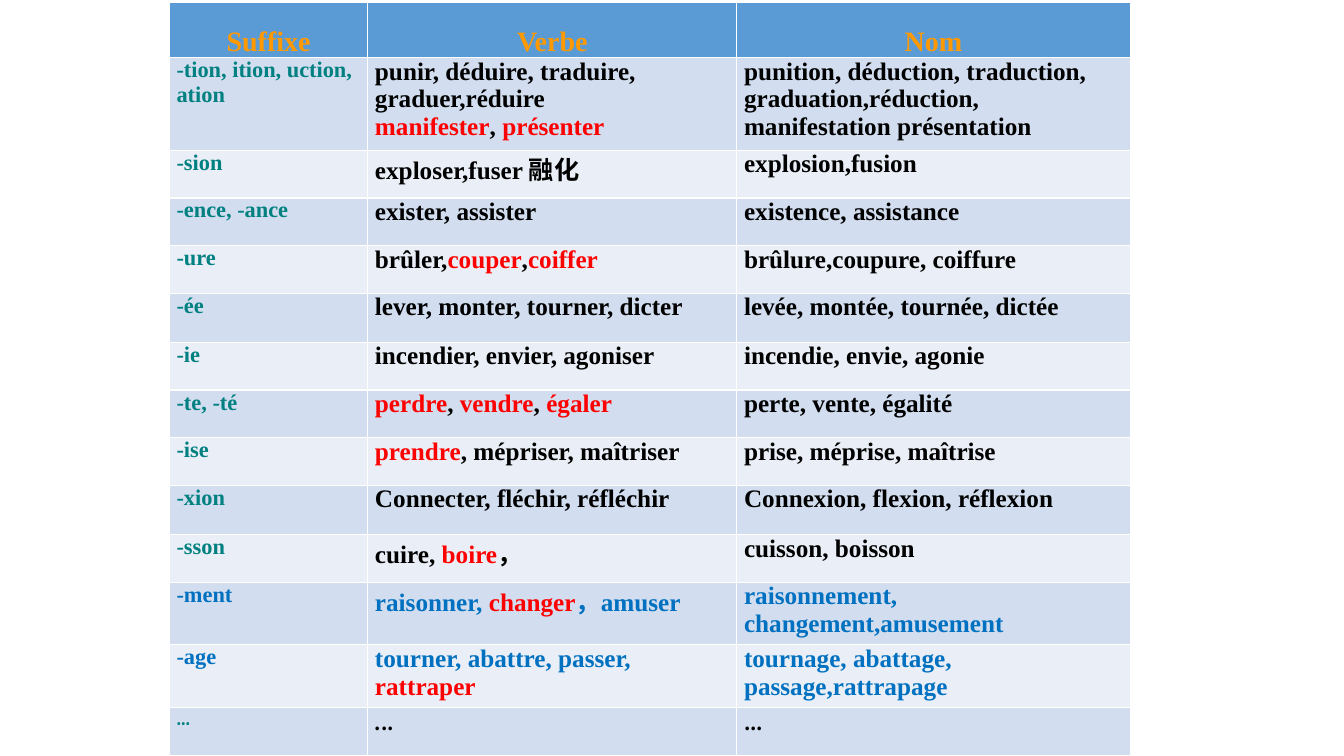
from lxml import etree
from pptx import Presentation
from pptx.dml.color import RGBColor
from pptx.enum import text
from pptx.oxml import ns
from pptx.util import Cm, Pt

THEME = {
    "font": "Times New Roman", "cjk": "Noto Sans CJK SC", "dots": "Cambria",
    "header_fill": "5B9BD5", "bands": ("D2DEEF", "EAEFF7"),
    "header": "FF9900", "suffix": "008080", "word": "000000",
    "irregular": "FF0000", "extra": "0070C0",
    "header_size": 20, "suffix_size": 16, "word_size": 18, "dots_size": 14,
}

# Words between asterisks are highlighted as irregular
HEADERS = ("Suffixe", "Verbe", "Nom")
ROWS = [
    ("-tion, ition, uction, ation",
     "punir, déduire, traduire, graduer,réduire\n*manifester*, *présenter*",
     "punition, déduction, traduction, graduation,réduction, "
     "manifestation présentation"),
    ("-sion", "exploser,fuser 融化", "explosion,fusion"),
    ("-ence, -ance", "exister, assister", "existence, assistance"),
    ("-ure", "brûler,*couper*,*coiffer*", "brûlure,coupure, coiffure"),
    ("-ée", "lever, monter, tourner, dicter", "levée, montée, tournée, dictée"),
    ("-ie", "incendier, envier, agoniser", "incendie, envie,\u00a0agonie"),
    ("-te, -té", "*perdre*, *vendre*, *égaler*", "perte, vente, égalité"),
    ("-ise", "*prendre*, mépriser, maîtriser", "prise, méprise, maîtrise"),
    ("-xion", "Connecter, fléchir, réfléchir",
     "Connexion,\u00a0flexion, réflexion"),
    ("-sson", "cuire, *boire*，", "cuisson, boisson"),
    ("-ment", "raisonner, *changer*，amuser",
     "raisonnement, changement,amusement"),
    ("-age", "tourner, abattre, passer, *rattraper*",
     "tournage, abattage, passage,rattrapage"),
    ("...", "...", "..."),
]
EXTRA_ROWS = ("-ment", "-age")
COL_WIDTHS = (5, 9.3, 9.91)
ROW_HEIGHT = 1.2
HEADER_HEIGHT = 1.4
TALL_ROWS = {"-tion, ition, uction, ation": 2.34, "-ée": 1.24, "-xion": 1.24,
             "-ment": 1.58, "-age": 1.58}


def fill_cell(cell, content, fill, size, color, font=THEME["font"]):
    cell.fill.solid()
    cell.fill.fore_color.rgb = RGBColor.from_string(fill)
    cell.margin_left = cell.margin_right = Cm(0.18)
    cell.margin_top = cell.margin_bottom = 0
    tf = cell.text_frame
    tf.text = content
    for p in tf.paragraphs:
        parts = p.text.split("*")
        p.text = ""
        for i, part in enumerate(parts):
            if not part:
                continue
            r = p.add_run()
            r.text = part
            r.font.name, r.font.size, r.font.bold = font, Pt(size), True
            r.font.color.rgb = RGBColor.from_string(
                THEME["irregular"] if i % 2 else color)
            ea = etree.SubElement(r.font._element, ns.qn("a:ea"))
            ea.set("typeface", THEME["cjk"])


prs = Presentation()
prs.slide_width, prs.slide_height = Cm(33.87), Cm(19.05)
s = prs.slides.add_slide(prs.slide_layouts[6])

# Table grid
heights = [HEADER_HEIGHT] + [TALL_ROWS.get(row[0], ROW_HEIGHT) for row in ROWS]
table = s.shapes.add_table(len(heights), len(COL_WIDTHS), Cm(4.27), Cm(0.05),
                           Cm(sum(COL_WIDTHS)), Cm(sum(heights))).table
for column, width in zip(table.columns, COL_WIDTHS):
    column.width = Cm(width)
for table_row, height in zip(table.rows, heights):
    table_row.height = Cm(height)

# Header row
for col, header in enumerate(HEADERS):
    cell = table.cell(0, col)
    fill_cell(cell, header, THEME["header_fill"], THEME["header_size"],
              THEME["header"])
    cell.vertical_anchor = text.MSO_ANCHOR.BOTTOM
    cell.text_frame.paragraphs[0].alignment = text.PP_ALIGN.CENTER

# Suffixes with their verbs and nouns
for i, row in enumerate(ROWS):
    for col, content in enumerate(row):
        kind = "word" if col else "suffix"
        color = THEME["extra" if row[0] in EXTRA_ROWS else kind]
        size, font = THEME[kind + "_size"], THEME["font"]
        if content == "...":
            size = THEME["dots_size"]
            font = THEME["cjk" if col else "dots"]
        fill_cell(table.cell(i + 1, col), content, THEME["bands"][i % 2],
                  size, color, font)

prs.save("out.pptx")
